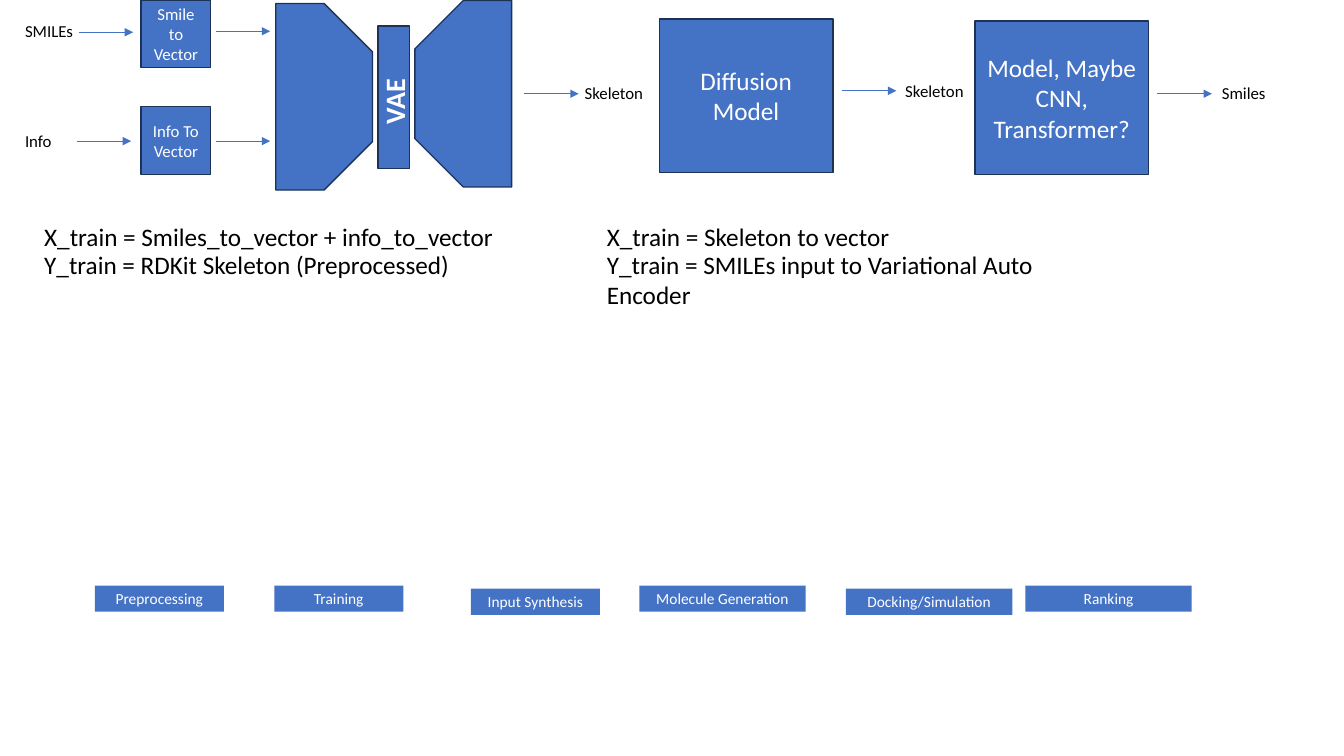
import pptx
import pptx.util
import pptx.dml.color
import pptx.enum.shapes
import pptx.enum.text
import pptx.oxml
import pptx.oxml.ns
from dataclasses import dataclass

Inches = pptx.util.Inches
SHAPES = pptx.enum.shapes.MSO_SHAPE
ALIGN = pptx.enum.text.PP_ALIGN
ANCHOR = pptx.enum.text.MSO_ANCHOR


@dataclass(frozen=True)
class Theme:
    """Colours, font and type sizes of the slide."""
    blue: str = "4472C4"
    outline: str = "1E3256"
    white: str = "FFFFFF"
    black: str = "000000"
    font: str = "Calibri"
    stage: int = 11
    label: int = 12
    body: int = 18
    latent: int = 20


THEME = Theme()

# Trapezoids of the autoencoder: left, top, rotation
CODERS = [(2.29, 0.48, 90), (3.67, 0.45, 270)]
CODER_SIZE = (1.85, 0.96)
LATENT_BAR = (3.75, 0.26, 0.31, 1.41)
LATENT_LABEL = (3.09, 0.79, 1.64, 0.44)

# Text, left, top
VECTORIZERS = [("Smile to Vector", 1.4, 0), ("Info To Vector", 1.4, 1.06)]
VECTORIZER_SIZE = (0.69, 0.67)
MODELS = [("Diffusion Model", 6.54, 0.19),
          ("Model, Maybe CNN, Transformer?", 9.67, 0.21)]
MODEL_SIZE = (1.72, 1.52)

# Text, left, top, width
LABELS = [("SMILEs", 0.15, 0.16, 0.96), ("Info", 0.15, 1.25, 0.63),
          ("Skeleton", 5.7, 0.77, 0.79), ("Skeleton", 8.88, 0.75, 0.79),
          ("Smiles", 12.02, 0.77, 0.79)]
LABEL_HEIGHT = 0.3

# Left, height on the slide
ARROWS = [(0.78, 0.32), (2.14, 0.31), (0.76, 1.4), (2.14, 1.4),
          (5.2, 0.93), (8.35, 0.9), (11.48, 0.93)]
ARROW_LENGTH = 0.54

# Left edge and the training lines (text, height) below each model
TRAINING = [
    (0.34, [("X_train = Smiles_to_vector + info_to_vector", 0.4),
            ("Y_train = RDKit Skeleton (Preprocessed)", 0.4)]),
    (5.92, [("X_train = Skeleton to vector", 0.4),
            ("Y_train = SMILEs input to Variational Auto Encoder", 0.71)]),
]
TRAINING_TOP, TRAINING_STEP, TRAINING_WIDTH = 2.15, 0.27, 4.94

# Text, left, top, width
STAGES = [("Preprocessing", 0.94, 5.81, 1.28), ("Training", 2.72, 5.81, 1.28),
          ("Input Synthesis", 4.67, 5.84, 1.28),
          ("Molecule Generation", 6.34, 5.81, 1.65),
          ("Docking/Simulation", 8.39, 5.84, 1.65),
          ("Ranking", 10.17, 5.81, 1.65)]
STAGE_HEIGHT = 0.26


def rgb(value):
    """Turn a hex string into a colour."""
    return pptx.dml.color.RGBColor.from_string(value)


def write(shape, text, size, color, align, anchor, bold=False):
    """Put one formatted paragraph into a shape."""
    frame = shape.text_frame
    for name, value in {"word_wrap": True, "vertical_anchor": anchor}.items():
        setattr(frame, name, value)
    paragraph = frame.paragraphs[0]
    paragraph.alignment = align
    run = paragraph.add_run()
    run.text = text
    font_format = {"name": THEME.font, "size": pptx.util.Pt(size), "bold": bold}
    for name, value in font_format.items():
        setattr(run.font, name, value)
    run.font.color.rgb = rgb(color)


def add_box(slide, box, text="", size=THEME.label, kind=SHAPES.RECTANGLE,
            outlined=True):
    """Add a blue shape with optional centred white text."""
    shape = slide.shapes.add_shape(kind, *map(Inches, box))
    shape.shadow.inherit = False
    shape.fill.solid()
    shape.fill.fore_color.rgb = rgb(THEME.blue)
    if outlined:
        shape.line.color.rgb = rgb(THEME.outline)
        shape.line.width = pptx.util.Pt(1)
    else:
        shape.line.fill.background()
    if text:
        write(shape, text, size, THEME.white, ALIGN.CENTER, ANCHOR.MIDDLE)
    return shape


def add_text(slide, box, text, size, color=THEME.black, align=ALIGN.LEFT,
             bold=False):
    """Add a text box."""
    shape = slide.shapes.add_textbox(*map(Inches, box))
    write(shape, text, size, color, align, ANCHOR.TOP, bold)
    return shape


def add_arrow(slide, left, top):
    """Add a thin arrow pointing right."""
    ends = (left, top, left + ARROW_LENGTH, top)
    arrow = slide.shapes.add_connector(
        pptx.enum.shapes.MSO_CONNECTOR.STRAIGHT, *map(Inches, ends))
    arrow.line.color.rgb = rgb(THEME.blue)
    arrow.line.width = pptx.util.Pt(0.5)
    make = pptx.oxml.xmlchemy.OxmlElement
    head = make("a:tailEnd")
    head.set("type", "triangle")
    arrow.line._get_or_add_ln().append(head)
    arrow._element.spPr.append(make("a:effectLst"))


def add_autoencoder(slide):
    """Add the two trapezoids with the latent bar between them."""
    for left, top, rotation in CODERS:
        coder = add_box(slide, (left, top, *CODER_SIZE),
                        kind=SHAPES.SNIP_2_SAME_RECTANGLE)
        coder.rotation = rotation
        coder.adjustments[0], coder.adjustments[1] = 0.5, 0
    add_box(slide, LATENT_BAR)
    label = add_text(slide, LATENT_LABEL, "VAE", THEME.latent, THEME.white,
                     ALIGN.CENTER, bold=True)
    label.rotation = 270


def build():
    """Build the slide and save it."""
    presentation = pptx.Presentation()
    presentation.slide_width = Inches(13.33)
    presentation.slide_height = Inches(7.5)
    slide = presentation.slides.add_slide(presentation.slide_layouts[6])

    add_autoencoder(slide)
    for left, top in ARROWS:
        add_arrow(slide, left, top)
    for text, left, top in VECTORIZERS:
        add_box(slide, (left, top, *VECTORIZER_SIZE), text)
    for text, left, top in MODELS:
        add_box(slide, (left, top, *MODEL_SIZE), text, THEME.body)
    for text, left, top, width in LABELS:
        add_text(slide, (left, top, width, LABEL_HEIGHT), text, THEME.label)
    for left, lines in TRAINING:
        for row, (text, height) in enumerate(lines):
            top = TRAINING_TOP + row * TRAINING_STEP
            add_text(slide, (left, top, TRAINING_WIDTH, height), text, THEME.body)
    for text, left, top, width in STAGES:
        add_box(slide, (left, top, width, STAGE_HEIGHT), text, THEME.stage,
                outlined=False)

    presentation.save("out.pptx")


build()
